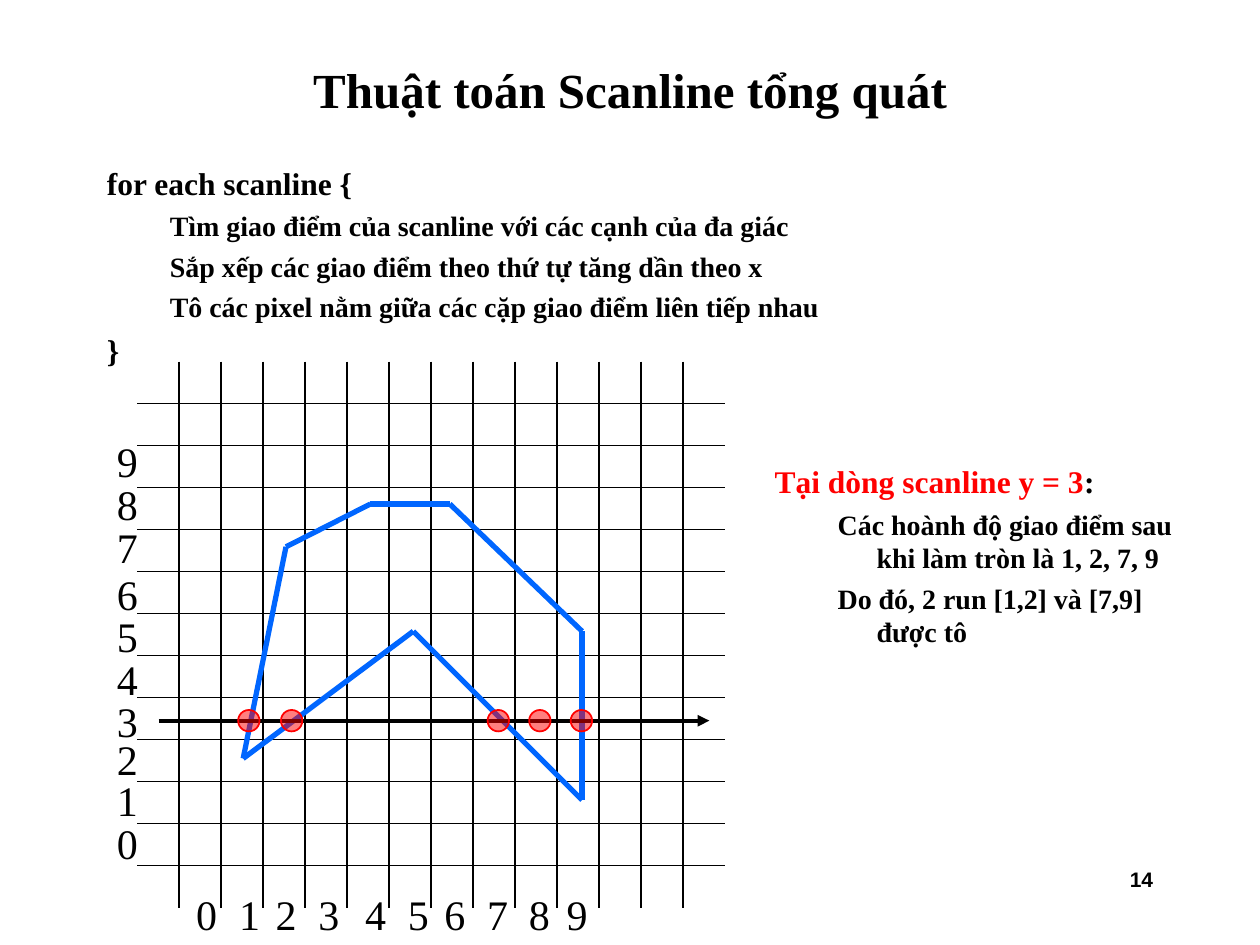
from lxml import etree
from pptx import Presentation
from pptx.dml.color import RGBColor
from pptx.enum.shapes import MSO_CONNECTOR, MSO_SHAPE
from pptx.enum.text import MSO_ANCHOR, PP_ALIGN
from pptx.oxml.ns import qn
from pptx.util import Inches, Pt

BLACK = RGBColor(0, 0, 0)
RED = RGBColor(0xFF, 0, 0)
BLUE = RGBColor(0, 0x66, 0xFF)
SERIF = "Times New Roman"

prs = Presentation()
prs.slide_width, prs.slide_height = Inches(10), Inches(7.5)
slide = prs.slides.add_slide(prs.slide_layouts[6])


def add_text(box, lines, size, font=SERIF, bold=True, align=PP_ALIGN.LEFT):
    """Add a text box; each line is (level, text), None marks a plain line."""
    frame = slide.shapes.add_textbox(*map(Inches, box)).text_frame
    frame.word_wrap = True
    for i, (level, text) in enumerate(lines):
        para = frame.paragraphs[0] if i == 0 else frame.add_paragraph()
        para.alignment = align
        if level is not None:
            margin, indent = ((0.38, -0.38), (0.81, -0.31))[level]
            para.level = level
            props = para._p.get_or_add_pPr()
            props.set("marL", str(Inches(margin)))
            props.set("indent", str(Inches(indent)))
        if i:
            para.space_before = Pt(4 if level else 4.5)
        para.add_run().text = text
        para.font.name = font
        para.font.size = Pt(size - 2 if level else size)
        para.font.bold = bold
        para.font.color.rgb = BLACK
    return frame


def add_line(shapes, start, end, color, width):
    line = shapes.add_connector(MSO_CONNECTOR.STRAIGHT, *map(Inches, (*start, *end)))
    line.line.color.rgb = color
    line.line.width = Pt(width)
    etree.SubElement(line._element.spPr, qn("a:effectLst"))
    return line


# Title and pseudocode
title = add_text((0.75, 0.33, 8.5, 0.75), [(None, "Thuật toán Scanline tổng quát")],
                 28, align=PP_ALIGN.CENTER)
title.vertical_anchor = MSO_ANCHOR.MIDDLE
add_text((0.75, 1.25, 8.5, 1.92), [
    (0, "for each scanline {"),
    (1, "Tìm giao điểm của scanline với các cạnh của đa giác"),
    (1, "Sắp xếp các giao điểm theo thứ tự tăng dần theo x"),
    (1, "Tô các pixel nằm giữa các cặp giao điểm liên tiếp nhau"),
    (0, "}"),
], 18)

# Pixel grid
CELL = 1 / 3
LEFT, TOP, COLUMNS, ROWS = 1.09, 2.87, 14, 13
right, bottom = LEFT + COLUMNS * CELL, TOP + ROWS * CELL
grid = slide.shapes.add_group_shape().shapes
for row in range(1, ROWS):
    y = TOP + row * CELL
    add_line(grid, (LEFT, y), (right, y), BLACK, 1)
for column in range(1, COLUMNS):
    x = LEFT + column * CELL
    add_line(grid, (x, TOP), (x, bottom), BLACK, 1)

# Axis numbers 0 to 9
x_lefts = [1.43, 1.77, 2.06, 2.4, 2.77, 3.11, 3.4, 3.74, 4.07, 4.37]
y_tops = [6.44, 6.1, 5.77, 5.47, 5.14, 4.8, 4.46, 4.09, 3.75, 3.41]
for places in ([(x, 7) for x in x_lefts], [(0.8, y) for y in y_tops]):
    for number, place in enumerate(places):
        add_text((*place, 0.42, 0.5), [(None, str(number))], 24,
                 bold=False, align=PP_ALIGN.CENTER)

# Polygon edges
corners = [(3.57, 4), (4.62, 5.01), (4.62, 6.35), (3.28, 5.01),
           (1.93, 6.02), (2.27, 4.34), (2.94, 4)]
polygon = slide.shapes.add_group_shape().shapes
for start, end in zip(corners, corners[1:] + corners[:1]):
    add_line(polygon, start, end, BLUE, 3)

# Scanline y = 3
SCAN_Y = 5.72
scanline = add_line(slide.shapes, (1.26, SCAN_Y), (5.63, SCAN_Y), BLACK, 2.25)
etree.SubElement(scanline.line._get_or_add_ln(), qn("a:tailEnd"), type="triangle")

# Pixels marked on the scanline
DOT = 0.17
for x in (1.89, 2.23, 3.87, 4.2, 4.53):
    pixel = slide.shapes.add_shape(
        MSO_SHAPE.OVAL, *map(Inches, (x, SCAN_Y - DOT / 2, DOT, DOT)))
    pixel.shadow.inherit = False
    pixel.fill.solid()
    pixel.fill.fore_color.rgb = RED
    pixel_color = pixel._element.spPr.find(qn("a:solidFill"))[0]
    etree.SubElement(pixel_color, qn("a:alpha"), val="50000")
    pixel.line.color.rgb = RED
    pixel.line.width = Pt(1)

# Worked example
example = add_text((6.05, 3.62, 3.44, 3.18), [
    (0, "Tại dòng scanline y = 3"),
    (1, "Các hoành độ giao điểm sau khi làm tròn là 1, 2, 7, 9"),
    (1, "Do đó, 2 run [1,2] và [7,9] được tô"),
], 18)
heading = example.paragraphs[0]
heading.runs[0].font.color.rgb = RED
heading.add_run().text = ":"

# Slide number
add_text((7.17, 6.83, 2.08, 0.5), [(None, "14")], 12, font="Arial", align=PP_ALIGN.RIGHT)

prs.save("out.pptx")
